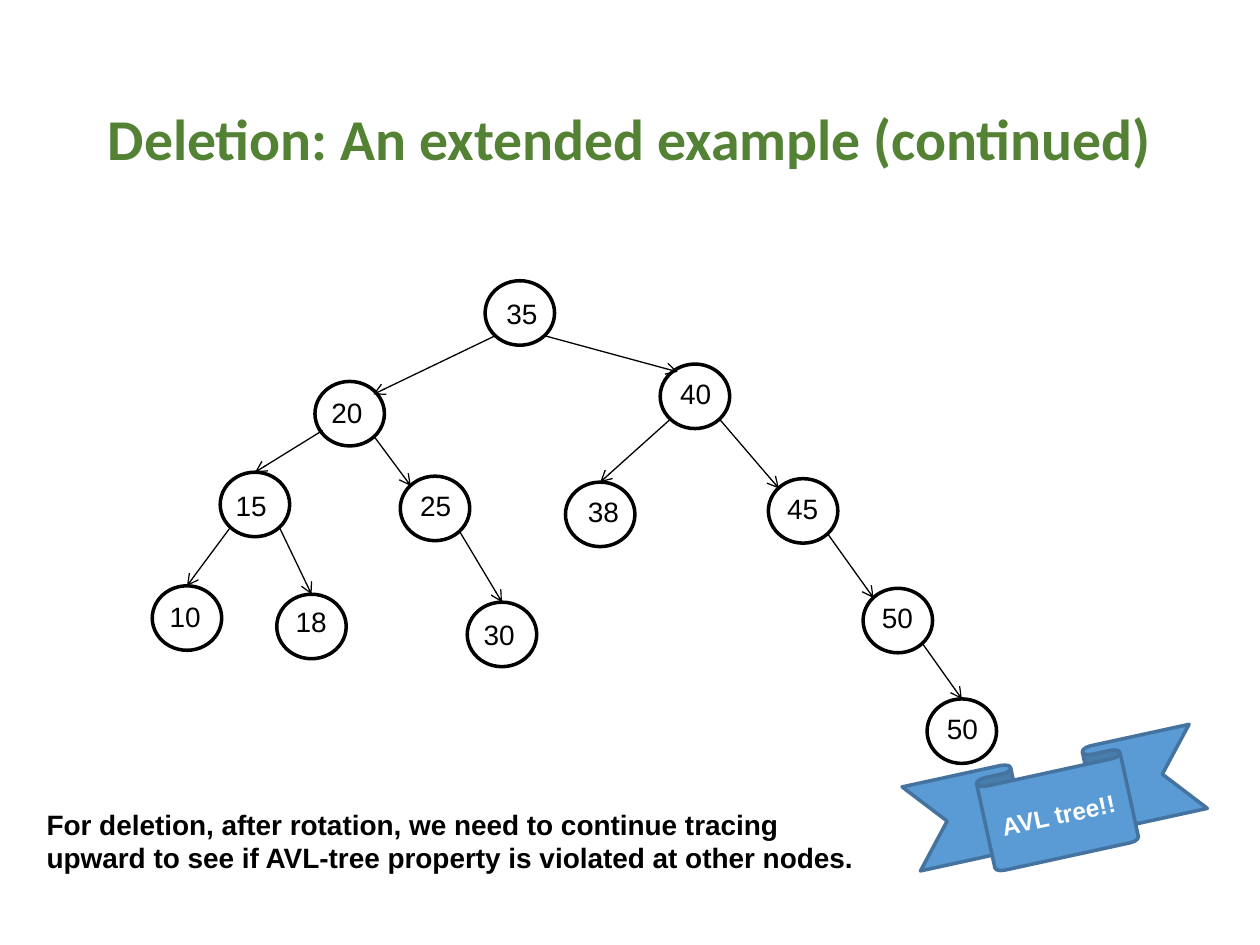
from lxml.etree import SubElement
from pptx import Presentation
from pptx.dml.color import RGBColor
from pptx.enum.shapes import MSO_CONNECTOR, MSO_SHAPE
from pptx.enum.text import MSO_ANCHOR, MSO_AUTO_SIZE, PP_ALIGN
from pptx.oxml.ns import qn
from pptx.util import Cm, Pt

BLACK = RGBColor(0x00, 0x00, 0x00)
WHITE = RGBColor(0xFF, 0xFF, 0xFF)
GREEN = RGBColor(0x54, 0x82, 0x35)
BLUE = RGBColor(0x5B, 0x9B, 0xD5)
DARK_BLUE = RGBColor(0x43, 0x73, 0x9E)

NODE_WIDTH, NODE_HEIGHT = 1.4, 1.3
LABEL_WIDTH, LABEL_HEIGHT = 1.27, 0.94

# name: (key, left and top within the tree, label offset within the node), in cm
NODES = {
    "root": ("35", 6.71, 0, 0.18, 0.2),
    "right": ("40", 10.24, 1.68, 0.15, 0.13),
    "left": ("20", 3.28, 2.03, 0.08, 0.15),
    "right right": ("45", 12.42, 3.99, 0.13, 0.13),
    "right left": ("38", 8.33, 4.06, 0.2, 0.13),
    "inner 50": ("50", 14.33, 6.2, 0.13, 0.13),
    "leaf 50": ("50", 15.62, 8.43, 0.15, 0.13),
    "leaf 10": ("10", 0, 6.15, 0.1, 0.15),
    "leaf 30": ("30", 6.35, 6.48, 0.08, 0.18),
    "left right": ("25", 5, 3.94, 0.15, 0.13),
    "left left": ("15", 1.37, 3.86, 0.06, 0.2),
    "leaf 18": ("18", 2.51, 6.32, 0.13, 0.08),
}

# Points on a node, as fractions of its width and height
TOP = (0.5, 0)
UPPER_LEFT = (0.15, 0.15)
LOWER_LEFT = (0.15, 0.85)
LOWER_RIGHT = (0.85, 0.85)

EDGES = [
    ("root", LOWER_LEFT, "left", (0.84, 0.2)),
    ("root", LOWER_RIGHT, "right", (0.25, 0.12)),
    ("left", (0.11, 0.76), "left left", TOP),
    ("left", LOWER_RIGHT, "left right", UPPER_LEFT),
    ("right", LOWER_LEFT, "right left", TOP),
    ("right", LOWER_RIGHT, "right right", UPPER_LEFT),
    ("left right", LOWER_RIGHT, "leaf 30", TOP),
    ("left left", LOWER_LEFT, "leaf 10", TOP),
    ("left left", LOWER_RIGHT, "leaf 18", TOP),
    ("right right", LOWER_RIGHT, "inner 50", UPPER_LEFT),
    ("inner 50", LOWER_RIGHT, "leaf 50", TOP),
]


def add_span(para, text, size, color, bold=False, font="Arial"):
    span = para.add_run()
    span.text = text
    span.font.name = font
    span.font.size = Pt(size)
    span.font.bold = bold
    span.font.color.rgb = color


def add_text(page, box, text, size, bold=False):
    frame = page.shapes.add_textbox(*map(Cm, box)).text_frame
    frame.word_wrap = True
    frame.auto_size = MSO_AUTO_SIZE.SHAPE_TO_FIT_TEXT
    add_span(frame.paragraphs[0], text, size, BLACK, bold)


def add_node(page, left, top, key, label_x, label_y):
    box = map(Cm, (left, top, NODE_WIDTH, NODE_HEIGHT))
    circle = page.shapes.add_shape(MSO_SHAPE.OVAL, *box)
    circle.shadow.inherit = False
    circle.fill.background()
    circle.line.color.rgb = BLACK
    circle.line.width = Pt(2)
    label_box = (left + label_x, top + label_y, LABEL_WIDTH, LABEL_HEIGHT)
    add_text(page, label_box, key, 16)


def add_arrow(page, start, end):
    arrow = page.shapes.add_connector(
        MSO_CONNECTOR.STRAIGHT, *map(Cm, start + end))
    arrow.line.color.rgb = BLACK
    arrow.line.width = Pt(0.75)
    SubElement(arrow.line._get_or_add_ln(), qn("a:tailEnd"), type="arrow")
    SubElement(arrow._element.spPr, qn("a:effectLst"))


def add_tree(page, left, top):
    def point_on(name, fraction):
        _, x, y, *_ = NODES[name]
        return (left + x + fraction[0] * NODE_WIDTH,
                top + y + fraction[1] * NODE_HEIGHT)

    for key, x, y, label_x, label_y in NODES.values():
        add_node(page, left + x, top + y, key, label_x, label_y)
    for parent, leave, child, arrive in EDGES:
        add_arrow(page, point_on(parent, leave), point_on(child, arrive))


def set_title(page, box, text):
    title = page.shapes.title
    title.left, title.top, title.width, title.height = map(Cm, box)
    frame = title.text_frame
    frame.word_wrap = True
    frame.auto_size = MSO_AUTO_SIZE.NONE
    frame.vertical_anchor = MSO_ANCHOR.MIDDLE
    para = frame.paragraphs[0]
    para.alignment = PP_ALIGN.CENTER
    para.line_spacing = 0.9
    add_span(para, text, 33, GREEN, bold=True, font="Calibri")


def add_ribbon(page, box, text):
    ribbon = page.shapes.add_shape(MSO_SHAPE.DOWN_RIBBON, *map(Cm, box))
    ribbon.rotation = 347.7
    ribbon.shadow.inherit = False
    ribbon.fill.solid()
    ribbon.fill.fore_color.rgb = BLUE
    ribbon.line.color.rgb = DARK_BLUE
    ribbon.line.width = Pt(2)
    frame = ribbon.text_frame
    frame.vertical_anchor = MSO_ANCHOR.MIDDLE
    para = frame.paragraphs[0]
    para.alignment = PP_ALIGN.CENTER
    add_span(para, text, 14, WHITE, bold=True)


def main():
    deck = Presentation()
    deck.slide_width, deck.slide_height = Cm(25.4), Cm(19.05)
    page = deck.slides.add_slide(deck.slide_layouts[5])
    set_title(page, (1.75, 1.02, 21.89, 3.68),
              "Deletion: An extended example (continued)")
    add_tree(page, 3.07, 5.66)
    add_text(page, (0.69, 16.15, 17.42, 1.63),
             "For deletion, after rotation, we need to continue tracing upward "
             "to see if AVL-tree property is violated at other nodes.",
             16, bold=True)
    add_ribbon(page, (18.34, 15.21, 5.92, 2.08), "AVL tree!!")
    deck.save("out.pptx")


if __name__ == "__main__":
    main()
